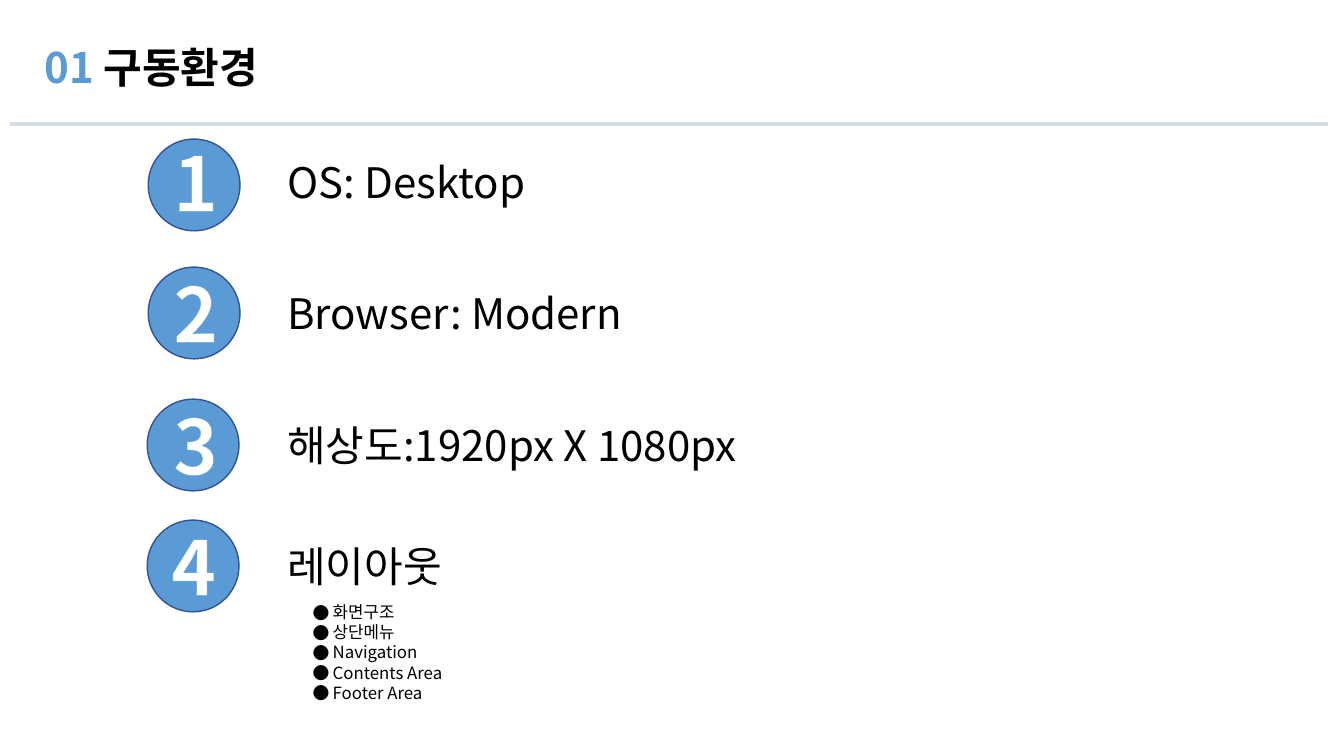
from lxml import etree
from pptx import Presentation
from pptx import util as u
from pptx.dml.color import RGBColor
from pptx.enum import shapes, text
from pptx.oxml.ns import qn

# Content
TITLE = [("01 ", "5B9BD5"), ("구동환경", "000000")]
ITEMS = [  # label, circle left and top, numeral left, label top
    ("OS: Desktop", 1.47, 1.38, 1.62, 1.5),
    ("Browser: Modern", 1.47, 2.65, 1.62, 2.8),
    ("해상도:1920px X 1080px", 1.46, 3.96, 1.62, 4.11),
    ("레이아웃", 1.46, 5.16, 1.6, 5.31),
]
LAYOUT_PARTS = ["화면구조", "상단메뉴", "Navigation", "Contents Area", "Footer Area"]

# Style and grid
FONT = "Noto Sans CJK KR"
BLUE, NAVY, RULE, WHITE, BLACK = "5B9BD5", "325491", "D6DCE5", "FFFFFF", "000000"
W, H = 13.33, 7.5
LABEL_X, LABEL_W, ROW_H = 2.75, 6.98, 0.61
CIRCLE, NUM_W, NUM_H, NUM_RISE = 0.91, 0.64, 1.01, 0.2
BULLET_INDENT = 0.2


def rgb(hex_color):
    return RGBColor.from_string(hex_color)


def inches(*lengths):
    return [u.Inches(n) for n in lengths]


def place(sp, *box):
    sp.left, sp.top, sp.width, sp.height = inches(*box)


def frame(sp, wrap=True):
    tf = sp.text_frame
    tf.word_wrap = wrap
    tf.auto_size = text.MSO_AUTO_SIZE.SHAPE_TO_FIT_TEXT
    tf.vertical_anchor = text.MSO_ANCHOR.TOP
    return tf


def add_run(p, words, size, color, bold=False):
    r = p.add_run()
    r.text = words
    r.font.size, r.font.bold, r.font.name = u.Pt(size), bold, FONT
    r.font.color.rgb = rgb(color)
    ea = etree.SubElement(r.font._element, qn("a:ea"))
    ea.set("typeface", FONT)
    return r


def outline(r, color, width):
    ln = etree.Element(qn("a:ln"), w=str(u.Pt(width)))
    fill = etree.SubElement(ln, qn("a:solidFill"))
    etree.SubElement(fill, qn("a:srgbClr"), val=color)
    r.font._element.insert(0, ln)


def add_bullet(p, char):
    pPr = p._p.get_or_add_pPr()
    pPr.set("marL", str(u.Inches(BULLET_INDENT)))
    pPr.set("indent", str(-u.Inches(BULLET_INDENT)))
    etree.SubElement(pPr, qn("a:buFont"), typeface=FONT)
    etree.SubElement(pPr, qn("a:buChar"), char=char)


prs = Presentation()
prs.slide_width, prs.slide_height = inches(W, H)
s = prs.slides.add_slide(prs.slide_layouts[1])
title, body = s.placeholders

# Title and rule below it
place(title, 0.34, 0.36, 12.83, ROW_H)
p = frame(title).paragraphs[0]
p.alignment = text.PP_ALIGN.LEFT
for words, color in TITLE:
    add_run(p, words, 30, color, bold=True)

rule = s.shapes.add_connector(shapes.MSO_CONNECTOR.STRAIGHT, *inches(0.1, 1.23, 13.17, 1.23))
rule.line.color.rgb, rule.line.width = rgb(RULE), u.Pt(2.25)
etree.SubElement(rule._element.spPr, qn("a:effectLst"))

# Numbered rows
for number, (label, circle_x, circle_y, num_x, y) in enumerate(ITEMS, 1):
    sp = s.shapes.add_shape(shapes.MSO_SHAPE.OVAL, *inches(circle_x, circle_y, CIRCLE, CIRCLE))
    sp.shadow.inherit = False
    sp.fill.solid()
    sp.fill.fore_color.rgb = rgb(BLUE)
    sp.line.color.rgb, sp.line.width = rgb(NAVY), u.Pt(1)

    num = s.shapes.add_textbox(*inches(num_x, y - NUM_RISE, NUM_W, NUM_H))
    p = frame(num, wrap=False).paragraphs[0]
    p.alignment = text.PP_ALIGN.CENTER
    outline(add_run(p, str(number), 54, WHITE, bold=True), BLUE, 0.8)

    box = s.shapes.add_textbox(*inches(LABEL_X, y, LABEL_W, ROW_H))
    if number == len(ITEMS):
        box.width = u.Inches(10.33)
    add_run(frame(box).paragraphs[0], label, 30, BLACK)

# Parts of the layout
place(body, 3, 5.92, 6.48, 1.11)
tf = frame(body)
for i, part in enumerate(LAYOUT_PARTS):
    p = tf.add_paragraph() if i else tf.paragraphs[0]
    p.space_before = u.Pt(0)
    add_bullet(p, "●")
    add_run(p, part, 12, BLACK)

prs.save("out.pptx")
